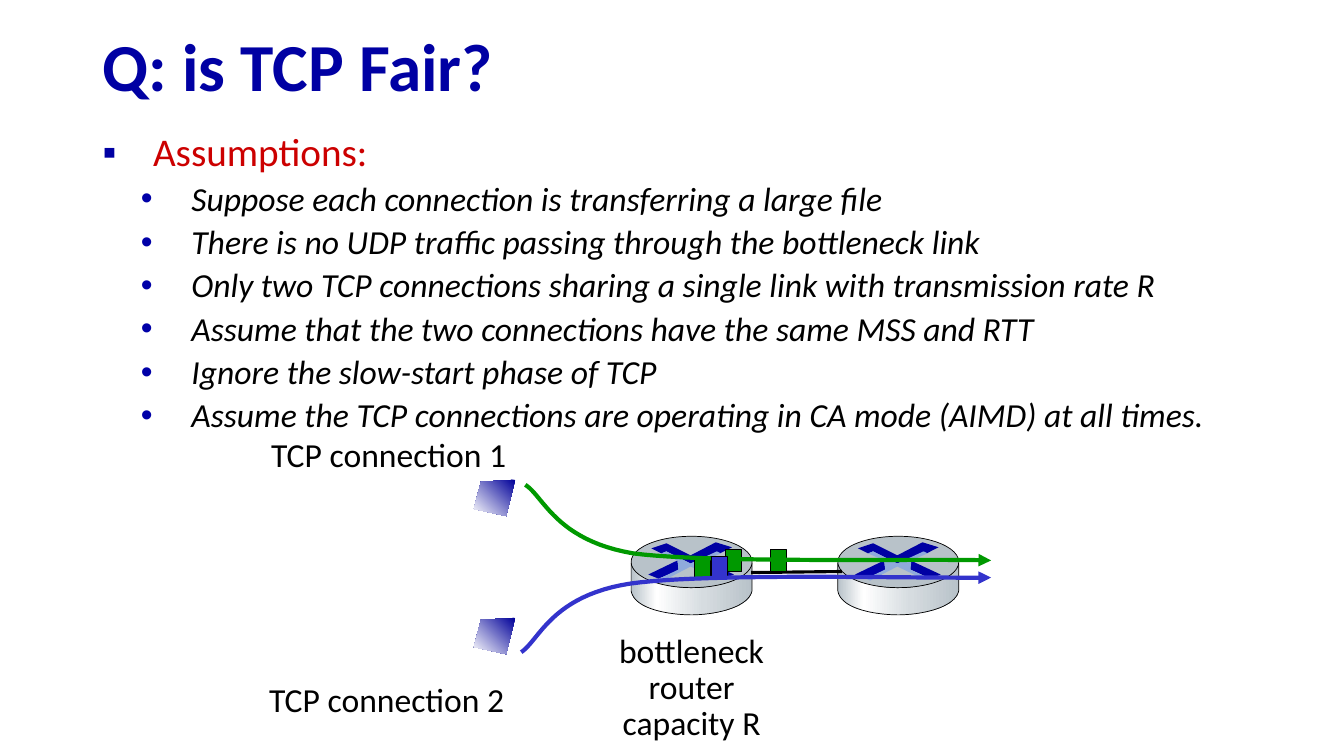
from copy import deepcopy
from lxml.etree import SubElement
from pptx import Presentation
from pptx.dml.color import RGBColor
from pptx.enum.shapes import MSO_CONNECTOR, MSO_SHAPE
from pptx.enum.text import MSO_ANCHOR, PP_ALIGN
from pptx.oxml.ns import qn
from pptx.util import Inches, Pt

BLACK = RGBColor(0x00, 0x00, 0x00)
WHITE = RGBColor(0xFF, 0xFF, 0xFF)
NAVY = RGBColor(0x00, 0x00, 0xA3)
BULLET_BLUE = RGBColor(0x00, 0x00, 0xA8)
SCREEN_BLUE = RGBColor(0x00, 0x00, 0x99)
LIGHT_BLUE = RGBColor(0x8F, 0xAA, 0xDC)
RED = RGBColor(0xCC, 0x00, 0x00)
GREEN = RGBColor(0x00, 0x99, 0x00)
BLUE = RGBColor(0x33, 0x33, 0xCC)
STEEL = RGBColor(0xB8, 0xC2, 0xC9)
PALE_STEEL = RGBColor(0xD6, 0xDC, 0xE0)
FONT = "Calibri"
CURVE_STEPS = 24

presentation = Presentation()
presentation.slide_width = Inches(13.33)
presentation.slide_height = Inches(7.5)
slide = presentation.slides.add_slide(presentation.slide_layouts[6])
shapes = slide.shapes


def add_outline(segments, dx=0.0, close=True):
    """Draw points (x, y) and Bezier segments (two controls and an end)."""
    points = []
    for segment in segments:
        if len(segment) == 2:
            points.append(segment)
            continue
        x0, y0 = points[-1]
        x1, y1, x2, y2, x3, y3 = segment
        for step in range(1, CURVE_STEPS + 1):
            t = step / CURVE_STEPS
            a, b, c, d = (1 - t) ** 3, 3 * t * (1 - t) ** 2, 3 * t * t * (1 - t), t ** 3
            points.append((a * x0 + b * x1 + c * x2 + d * x3,
                           a * y0 + b * y1 + c * y2 + d * y3))
    points = [(Inches(x + dx), Inches(y)) for x, y in points]
    builder = shapes.build_freeform(*points[0])
    builder.add_line_segments(points[1:], close=close)
    return builder.convert_to_shape()


def paint(shape, fill=None, line=None, width=0.5, angle=0):
    """Fill with a colour, a list of gradient stops or nothing; outline if asked."""
    shape.shadow.inherit = False
    if fill is None:
        shape.fill.background()
    elif isinstance(fill, list):
        shape.fill.gradient()
        shape.fill.gradient_angle = angle
        stop_list = shape._element.spPr.find(".//" + qn("a:gsLst"))
        while len(stop_list) < len(fill):
            stop_list.append(deepcopy(stop_list[0]))
        for stop, (position, color) in zip(shape.fill.gradient_stops, fill):
            stop.position = position
            stop.color.rgb = color
    else:
        shape.fill.solid()
        shape.fill.fore_color.rgb = fill
    if line is None:
        shape.line.fill.background()
    else:
        shape.line.color.rgb = line
        shape.line.width = Pt(width)


# Routers: drum, lid and crossed arrows, drawn at the right-hand place and shifted
drum = [(9.51, 5.59), (9.51, 5.86), (9.47, 6.04, 9.11, 6.1, 8.91, 6.1),
        (8.71, 6.1, 8.34, 6.05, 8.31, 5.86), (8.31, 5.59),
        (8.36, 5.75, 8.7, 5.83, 8.9, 5.83), (9.1, 5.83, 9.45, 5.77, 9.51, 5.59)]
drum_shading = [(0, STEEL), (0.21, WHITE), (0.6, PALE_STEEL), (1, STEEL)]
lid_marks = [
    (NAVY, [(9.15, 5.38), (9.31, 5.43), (9.19, 5.49), (9.16, 5.48), (8.9, 5.59),
            (8.66, 5.47), (8.61, 5.49), (8.51, 5.44), (8.66, 5.39), (8.9, 5.51)]),
    (NAVY, [(9.03, 5.56), (9.33, 5.7), (9.23, 5.74), (9.03, 5.65)]),
    (BULLET_BLUE, [(8.77, 5.56), (8.78, 5.66), (8.58, 5.74), (8.48, 5.7)]),
    (LIGHT_BLUE, [(8.61, 5.49), (8.66, 5.47), (8.9, 5.59), (9.16, 5.47), (9.2, 5.49),
                  (9.04, 5.56), (9.03, 5.65), (9.22, 5.74), (9.17, 5.75), (8.9, 5.62),
                  (8.63, 5.76), (8.59, 5.74), (8.78, 5.65), (8.77, 5.56)]),
]
for shift in (0, -2.05):
    paint(add_outline(drum, shift), drum_shading, BLACK)
    lid = shapes.add_shape(MSO_SHAPE.OVAL, Inches(8.31 + shift), Inches(5.32),
                           Inches(1.2), Inches(0.51))
    paint(lid, STEEL, BLACK)
    for color, mark in lid_marks:
        paint(add_outline(mark, shift), color)

# Assumptions
assumptions = [
    "Assumptions:",
    "Suppose each connection is transferring a large file",
    "There is no UDP traffic passing through the bottleneck link",
    "Only two TCP connections sharing a single link with transmission rate R",
    "Assume that the two connections have the same MSS and RTT",
    "Ignore the slow-start phase of TCP",
    "Assume the TCP connections are operating in CA mode (AIMD) at all times.",
]
body = shapes.add_textbox(Inches(0.92), Inches(1.27), Inches(11.5), Inches(4.76)).text_frame
body.word_wrap = True
for index, text in enumerate(assumptions):
    heading = index == 0
    paragraph = body.paragraphs[0] if heading else body.add_paragraph()
    paragraph.text = text
    paragraph.level = 0 if heading else 1
    paragraph.line_spacing = 0.9
    if not heading:
        paragraph.space_before = Pt(5)
    properties = paragraph._p.get_or_add_pPr()
    properties.set("marL", str(Inches(0.5 if heading else 0.88)))
    properties.set("indent", str(Inches(-0.5)))
    bullet_color = SubElement(properties, qn("a:buClr"))
    SubElement(bullet_color, qn("a:srgbClr")).set("val", str(NAVY if heading else BULLET_BLUE))
    SubElement(properties, qn("a:buFont")).set("typeface", "Arial")
    SubElement(properties, qn("a:buChar")).set("char", "▪" if heading else "•")
    paragraph.font.name = FONT
    paragraph.font.size = Pt(28 if heading else 24)
    paragraph.font.italic = not heading
    paragraph.font.color.rgb = RED if heading else BLACK

# Title
title = shapes.add_textbox(Inches(0.92), Inches(0.2), Inches(11.5), Inches(0.98)).text_frame
title.word_wrap = True
title.vertical_anchor = MSO_ANCHOR.MIDDLE
question = title.paragraphs[0]
question.text = "Q: is TCP Fair?"
question.line_spacing = 0.9
question.font.name = FONT
question.font.size = Pt(48)
question.font.bold = True
question.font.color.rgb = NAVY

# Bottleneck link
link = shapes.add_connector(MSO_CONNECTOR.STRAIGHT, Inches(7.45), Inches(5.68),
                            Inches(8.35), Inches(5.67))
link.line.color.rgb = BLACK
link.line.width = Pt(2.25)
SubElement(link._element.spPr, qn("a:effectLst"))

# Labels
labels = [
    (2.59, 4.26, 2.56, 0.5, PP_ALIGN.LEFT, 1.0, ["TCP connection 1"]),
    (6.03, 6.24, 1.66, 1.19, PP_ALIGN.CENTER, 0.9, ["bottleneck", "router", "capacity R"]),
    (2.57, 6.69, 2.56, 0.5, PP_ALIGN.LEFT, 1.0, ["TCP connection 2"]),
]
for left, top, width, height, alignment, spacing, lines in labels:
    label = shapes.add_textbox(Inches(left), Inches(top), Inches(width), Inches(height)).text_frame
    label.word_wrap = False
    label.text = "\n".join(lines)
    for paragraph in label.paragraphs:
        paragraph.alignment = alignment
        paragraph.line_spacing = spacing
        paragraph.font.name = FONT
        paragraph.font.size = Pt(24)
        paragraph.font.color.rgb = BLACK

# Connections: packets, then the flow passing over them
connections = [
    (GREEN, [(7.64, 5.45), (6.89, 5.52), (7.2, 5.45)],
     [(5.21, 4.81), (5.39, 4.92, 5.51, 5.36, 6.28, 5.49), (7.05, 5.59, 9.1, 5.54, 9.83, 5.56)]),
    (BLUE, [(7.06, 5.52)],
     [(5.17, 6.47), (5.35, 6.35, 5.47, 5.91, 6.25, 5.79), (7.02, 5.68, 9.09, 5.74, 9.83, 5.73)]),
]
for color, packets, route in connections:
    for left, top in packets:
        packet = shapes.add_shape(MSO_SHAPE.RECTANGLE, Inches(left), Inches(top),
                                  Inches(0.16), Inches(0.22))
        paint(packet, color, BLACK, 0.75)
    flow = add_outline(route, close=False)
    paint(flow, None, color, 3)
    SubElement(flow._element.spPr.find(qn("a:ln")), qn("a:tailEnd")).set("type", "triangle")

# Host screens
for top in (4.76, 6.13):
    screen = add_outline([(5.11, top), (4.77, top + 0.02), (4.7, top + 0.29), (5.02, top + 0.36)])
    paint(screen, [(0, SCREEN_BLUE), (1, WHITE)], angle=225)

presentation.save("out.pptx")
